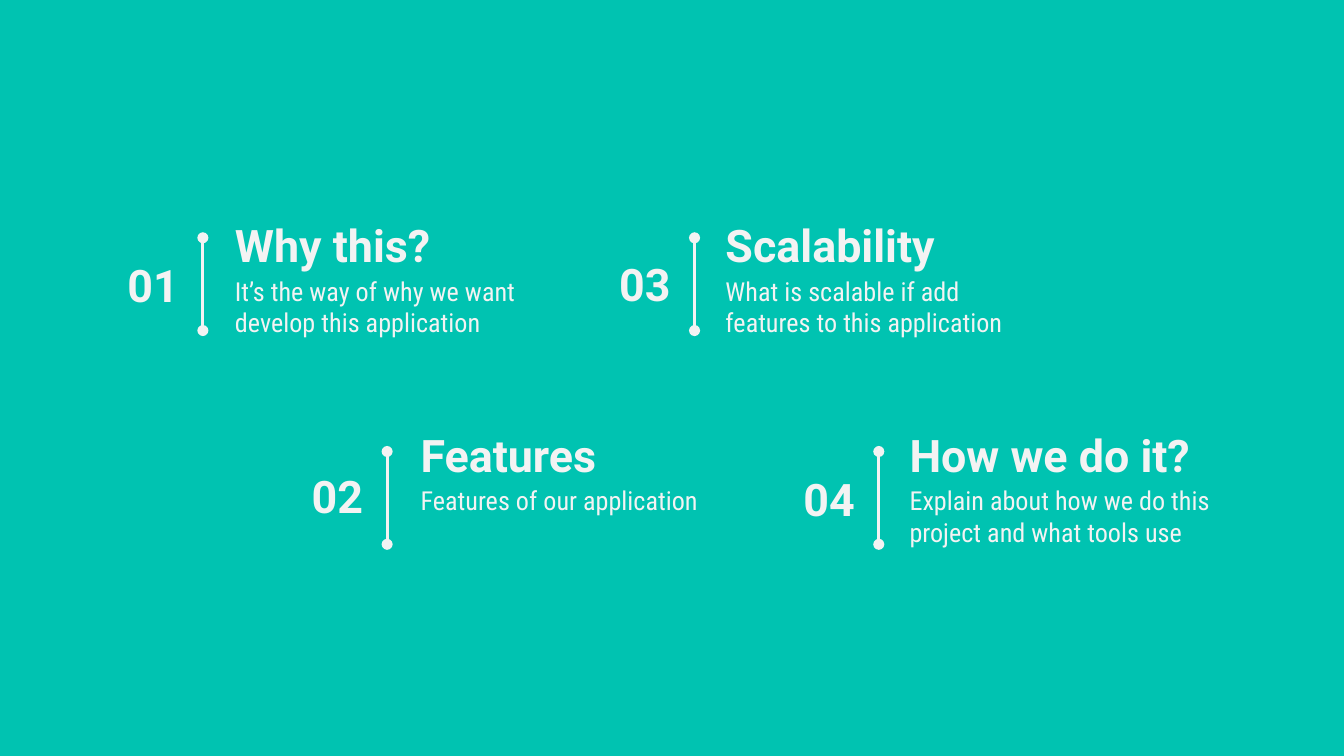
from dataclasses import dataclass

from lxml import etree
from pptx import Presentation, util as u
from pptx.dml import color
from pptx.enum import shapes, text
from pptx.oxml import ns


@dataclass(frozen=True)
class Theme:
    back: color.RGBColor = color.RGBColor(0x00, 0xC3, 0xB1)
    ink: color.RGBColor = color.RGBColor(0xF3, 0xF3, 0xF3)
    head: str = "Roboto"
    body: str = "Roboto Condensed"
    big: float = 24
    small: float = 14
    rule: float = 1.5


THEME = Theme()
LEFT, STEP, SHIFT = 108.7, 263.4, 98.7
TOPS = (114.5, 226.8)
RULES = (127.4, 241.9)
TALL = 49.7
PAD = 7.2

ITEMS = (
    ("01", "Why this?", "It’s the way of why we want develop this application", 118.8, 136.1),
    ("02", "Features", "Features of our application", 218.2, 249.1),
    ("03", "Scalability", "What is scalable if add features to this application", 381.6, 135.4),
    ("04", "How we do it?", "Explain about how we do this project and what tools use", 480.2, 250.6),
)


def assign(thing, values):
    for name, value in values.items():
        setattr(thing, name, value)


def label(slide, words, box, font, frame, para):
    shape = slide.shapes.add_textbox(*map(u.Pt, box))
    body = shape.text_frame
    edges = ("margin_left", "margin_top", "margin_right", "margin_bottom")
    assign(body, {"word_wrap": True, **dict.fromkeys(edges, u.Pt(PAD)), **frame})
    first = body.paragraphs[0]
    assign(first, para)
    run = first.add_run()
    run.text = words
    assign(run.font, font)
    run.font.color.rgb = THEME.ink


def heading(slide, words, box, align=text.PP_ALIGN.LEFT):
    font = {"name": THEME.head, "size": u.Pt(THEME.big), "bold": True}
    frame = {"vertical_anchor": text.MSO_ANCHOR.MIDDLE}
    label(slide, words, box, font, frame, {"alignment": align})


def detail(slide, words, box):
    font = {"name": THEME.body, "size": u.Pt(THEME.small), "bold": False}
    frame = {"vertical_anchor": text.MSO_ANCHOR.TOP}
    label(slide, words, box, font, frame, {"space_after": u.Pt(16)})


def divider(slide, x, y):
    ends = map(u.Pt, (x, y, x, y + TALL))
    link = slide.shapes.add_connector(shapes.MSO_CONNECTOR.STRAIGHT, *ends)
    link.line.width = u.Pt(THEME.rule)
    link.line.color.rgb = THEME.ink
    props = link.line.fill._xPr
    for tag in ("a:headEnd", "a:tailEnd"):
        etree.SubElement(props, ns.qn(tag), type="oval")
    etree.SubElement(link._element.spPr, ns.qn("a:effectLst"))


def entry(slide, order, item):
    number, title, note, x, y = item
    col, row = divmod(order, 2)
    line = LEFT + col * STEP + row * SHIFT
    top = TOPS[row]
    heading(slide, title, (x, top, 188, 33.1))
    detail(slide, note, (x, top + 25.6, 184.3, 51.1))
    heading(slide, number, (line - 53.3, y, 47.5, 33.1), text.PP_ALIGN.RIGHT)
    divider(slide, line, RULES[row])


def main():
    deck = Presentation()
    assign(deck, {"slide_width": u.Pt(720), "slide_height": u.Pt(405)})
    slide = deck.slides.add_slide(deck.slide_layouts[6])
    fill = slide.background.fill
    fill.solid()
    fill.fore_color.rgb = THEME.back
    for order, item in enumerate(ITEMS):
        entry(slide, order, item)
    deck.save("out.pptx")


if __name__ == "__main__":
    main()
